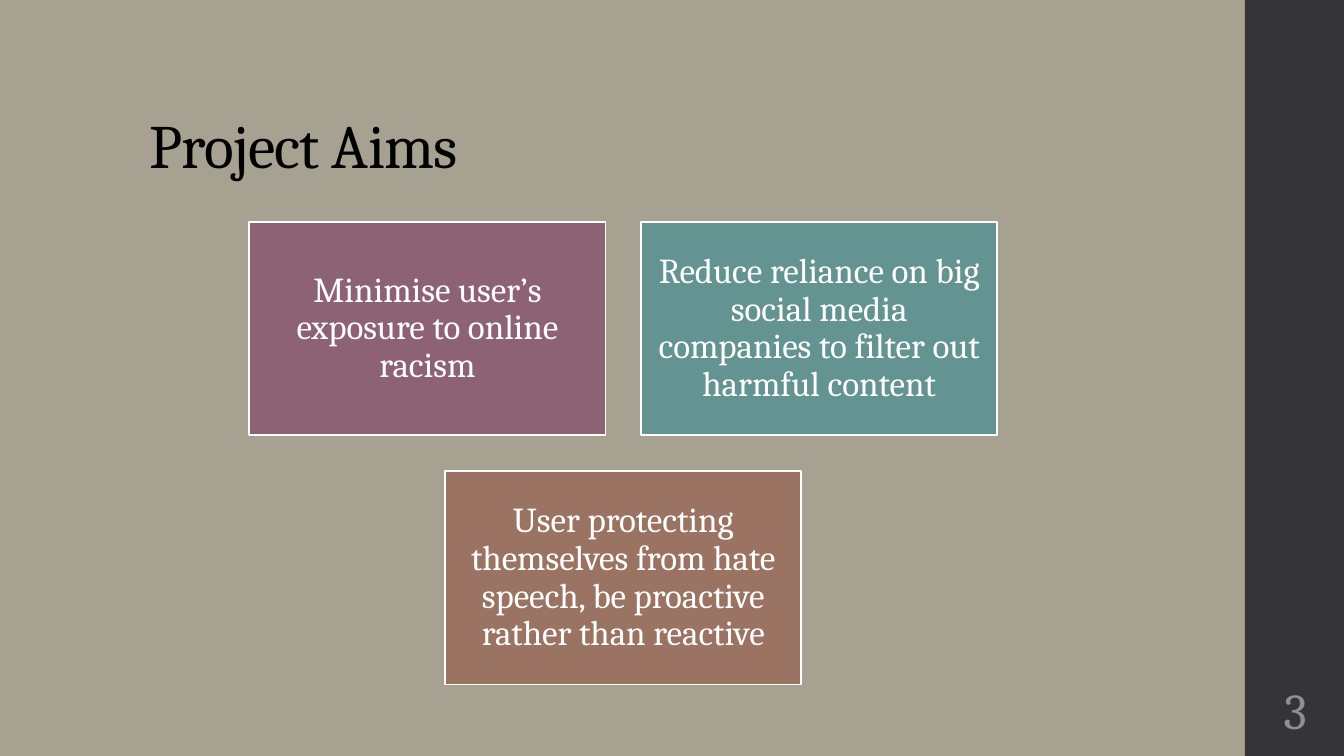
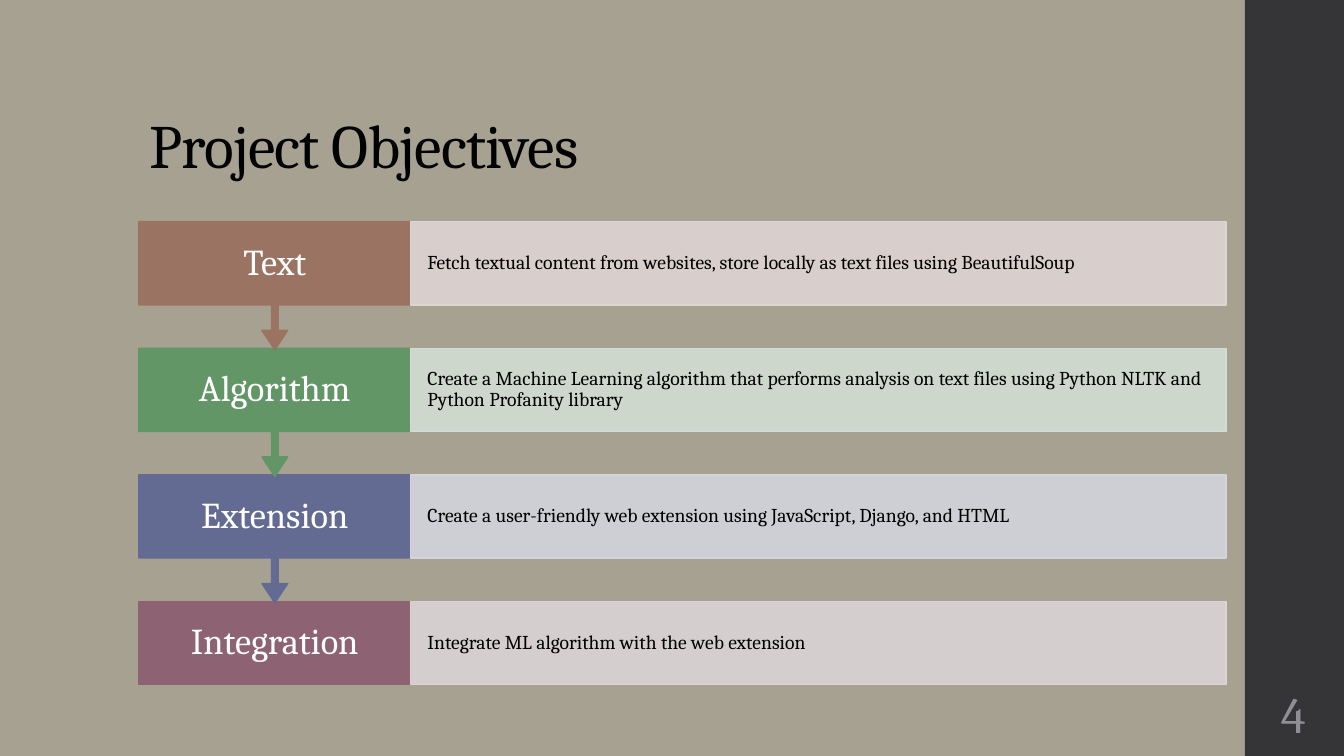
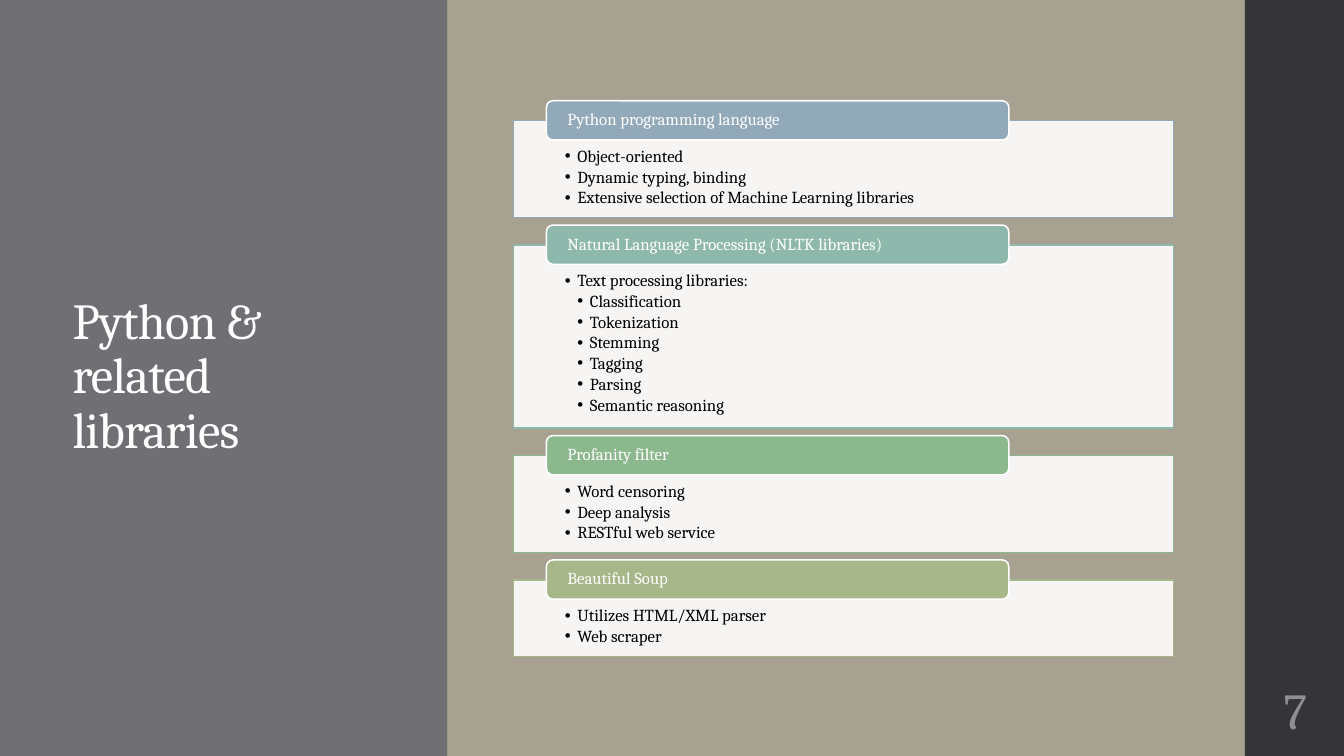
from dataclasses import dataclass

from lxml.etree import SubElement
from pptx import Presentation
from pptx.dml.color import RGBColor
from pptx.enum.shapes import MSO_SHAPE as Preset
from pptx.enum.text import MSO_ANCHOR as Anchor, MSO_AUTO_SIZE as AutoSize, PP_ALIGN as Align
from pptx.oxml.ns import qn
from pptx.util import Pt

FONT = "Cambria"
COLOURS = {
    "background": "A7A192", "band": "353537", "panel": "6F6F74", "number": "8E8E94",
    "black": "000000", "white": "FFFFFF",
    "plum": "8D6374", "teal": "639491", "brown": "9B7362", "green": "629666", "indigo": "636B92",
    "pale plum": "DBD3D6", "pale brown": "DED5D3", "pale green": "D3DDD3", "pale indigo": "D3D4DC",
    "steel": "92A9B9", "aqua": "8FB8AD", "mint": "8CB88E", "olive": "A7B789",
}
TITLE_ONLY, FOUR_BODIES = 5, 4
SLIDE_WIDTH, SLIDE_HEIGHT = 960, 540
BAND_LEFT, BAND_WIDTH = 889.2, 72
CONTENT_TOP = 158.4


@dataclass(frozen=True)
class Box:
    left: float
    top: float
    width: float
    height: float


@dataclass(frozen=True)
class Style:
    size: float
    colour: str = "white"
    align: Align = Align.LEFT
    anchor: Anchor = Anchor.MIDDLE
    insets: tuple[float, float] = (7.2, 3.6)


@dataclass(frozen=True)
class Aim:
    text: str
    colour: str


@dataclass(frozen=True)
class Objective:
    label: str
    detail: str
    colour: str


@dataclass(frozen=True)
class Topic:
    heading: str
    colour: str
    height: float
    points: tuple[tuple[str, int], ...]


AIM_ROWS = (
    (Aim("Minimise user’s exposure to online racism", "plum"),
     Aim("Reduce reliance on big social media companies to filter out harmful content", "teal")),
    (Aim("User protecting themselves from hate speech, be proactive rather than reactive", "brown"),),
)
OBJECTIVES = (
    Objective("Text", "Fetch textual content from websites, store locally as text files using BeautifulSoup", "brown"),
    Objective("Algorithm", "Create a Machine Learning algorithm that performs analysis on text files using "
              "Python NLTK and Python Profanity library", "green"),
    Objective("Extension", "Create a user-friendly web extension using JavaScript, Django, and HTML", "indigo"),
    Objective("Integration", "Integrate ML algorithm with the web extension", "plum"),
)
TOPICS = (
    Topic("Python programming language", "steel", 69.3, (
        ("Object-oriented", 1), ("Dynamic typing, binding", 1),
        ("Extensive selection of Machine Learning libraries", 1))),
    Topic("Natural Language Processing (NLTK libraries)", "aqua", 130.9, (
        ("Text processing libraries:", 1), ("Classification", 2), ("Tokenization", 2), ("Stemming", 2),
        ("Tagging", 2), ("Parsing", 2), ("Semantic reasoning", 2))),
    Topic("Profanity filter", "mint", 69.3, (
        ("Word censoring", 1), ("Deep analysis", 1), ("RESTful web service", 1))),
    Topic("Beautiful Soup", "olive", 54.8, (("Utilizes HTML/XML parser", 1), ("Web scraper", 1))),
)


def colour(name: str) -> RGBColor:
    return RGBColor.from_string(COLOURS[name])


def place(shape, box: Box) -> None:
    shape.left, shape.top = Pt(box.left), Pt(box.top)
    shape.width, shape.height = Pt(box.width), Pt(box.height)


def paint(shape, fill: str, line: str | None = None, weight: float = 1.1, opacity: int = 100) -> None:
    shape.fill.solid()
    shape.fill.fore_color.rgb = colour(fill)
    if opacity < 100:
        for node in shape.element.spPr.iter(qn("a:srgbClr")):
            SubElement(node, qn("a:alpha"), val=str(opacity * 1000))
    if line:
        shape.line.color.rgb = colour(line)
        shape.line.width = Pt(weight)
    else:
        shape.line.fill.background()


def set_frame(shape, style: Style) -> None:
    frame = shape.text_frame
    frame.word_wrap = True
    frame.auto_size = AutoSize.NONE
    frame.vertical_anchor = style.anchor
    frame.margin_left = frame.margin_right = Pt(style.insets[0])
    frame.margin_top = frame.margin_bottom = Pt(style.insets[1])


def format_paragraph(paragraph, style: Style) -> None:
    paragraph.alignment = style.align
    paragraph.line_spacing = 0.9
    paragraph.space_before = Pt(0)
    paragraph.font.name = FONT
    paragraph.font.size = Pt(style.size)
    paragraph.font.bold = False
    paragraph.font.color.rgb = colour(style.colour)


def write(shape, text: str, style: Style) -> None:
    set_frame(shape, style)
    shape.text_frame.text = text
    format_paragraph(shape.text_frame.paragraphs[0], style)


def write_bullets(shape, points: tuple[tuple[str, int], ...], style: Style) -> None:
    set_frame(shape, style)
    frame = shape.text_frame
    for index, (text, level) in enumerate(points):
        paragraph = frame.add_paragraph() if index else frame.paragraphs[0]
        paragraph.text = text
        paragraph.level = level
        properties = paragraph._p.get_or_add_pPr()
        properties.set("marL", str(Pt(9 * level)))
        properties.set("indent", str(-Pt(9)))
        SubElement(properties, qn("a:buFont"), typeface="Arial")
        SubElement(properties, qn("a:buChar"), char="•")
        paragraph.space_after = Pt(1.8)
        format_paragraph(paragraph, style)


def add_block(slide, box: Box, fill: str, line: str | None = None, weight: float = 1.1,
              opacity: int = 100, preset: Preset = Preset.RECTANGLE):
    shape = slide.shapes.add_shape(preset, Pt(box.left), Pt(box.top), Pt(box.width), Pt(box.height))
    shape.shadow.inherit = False
    paint(shape, fill, line, weight, opacity)
    return shape


def add_slide(presentation, layout: int, title: str, box: Box, style: Style, number: str, number_box: Box):
    slide = presentation.slides.add_slide(presentation.slide_layouts[layout])
    place(slide.shapes.title, box)
    write(slide.shapes.title, title, style)
    for properties in slide.shapes.title.element.iter(qn("a:defRPr")):
        properties.set("spc", "-50")
    label = slide.shapes.add_textbox(0, 0, 0, 0)
    place(label, number_box)
    write(label, number, Style(36, "number", Align.CENTER, insets=(3.6, 3.6)))
    return slide


def add_master_band(presentation, slide) -> None:
    master = presentation.slide_master
    master.background.fill.solid()
    master.background.fill.fore_color.rgb = colour("background")
    band = add_block(slide, Box(BAND_LEFT, 0, BAND_WIDTH, SLIDE_HEIGHT), "band")
    master.shapes.element.append(band.element)


def draw_aims(slide) -> None:
    width, height, gap, centre = 254.4, 152.6, 25.4, 445.2
    style = Style(25, align=Align.CENTER, insets=(7.2, 7.2))
    for row, aims in enumerate(AIM_ROWS):
        left = centre - (len(aims) * (width + gap) - gap) / 2
        top = CONTENT_TOP + row * (height + gap)
        for column, aim in enumerate(aims):
            box = Box(left + column * (width + gap), top, width, height)
            write(add_block(slide, box, aim.colour, "white", 1.35), aim.text, style)


def draw_objectives(slide) -> None:
    left, label_width, detail_width, height, pitch = 99.2, 194.2, 582.4, 59.4, 90.4
    callout_height = 91.4
    label_style = Style(26, align=Align.CENTER, insets=(13.7, 0))
    detail_style = Style(14, "black", insets=(11.9, 0))
    last = len(OBJECTIVES) - 1
    for index in range(last, -1, -1):
        objective = OBJECTIVES[index]
        top = CONTENT_TOP + index * pitch
        is_last = index == last
        label = add_block(
            slide, Box(left, top, label_width, height if is_last else callout_height),
            objective.colour, objective.colour,
            preset=Preset.RECTANGLE if is_last else Preset.DOWN_ARROW_CALLOUT)
        if not is_last:
            for position, value in enumerate((0.05, 0.1, 0.15, 0.65)):
                label.adjustments[position] = value
        write(label, objective.label, label_style)
        pale = f"pale {objective.colour}"
        detail = add_block(slide, Box(left + label_width, top, detail_width, height), pale, pale, opacity=90)
        write(detail, objective.detail, detail_style)


def draw_topics(slide) -> None:
    panel = add_block(slide, Box(0, 0, 319.4, SLIDE_HEIGHT), "panel")
    slide.shapes.element.insert(2, panel.element)
    list_style = Style(12, "black", anchor=Anchor.TOP, insets=(36.7, 19.6))
    heading_style = Style(12, insets=(13.7, 0))
    bodies = [shape for shape in slide.placeholders if shape.placeholder_format.idx]
    top, gap = 86.2, 19.5
    for body, topic in zip(bodies, TOPICS):
        place(body, Box(366.7, top, 471.6, topic.height))
        paint(body, "white", topic.colour, opacity=90)
        write_bullets(body, topic.points, list_style)
        heading = add_block(slide, Box(390.3, top - 14.2, 330.3, 28), topic.colour, "white",
                            preset=Preset.ROUNDED_RECTANGLE)
        write(heading, topic.heading, heading_style)
        top += topic.height + gap


def main() -> None:
    presentation = Presentation()
    presentation.slide_width, presentation.slide_height = Pt(SLIDE_WIDTH), Pt(SLIDE_HEIGHT)
    title_style = Style(44, "black", anchor=Anchor.BOTTOM)
    number_box = Box(BAND_LEFT, 486, BAND_WIDTH, 46.8)

    aims = add_slide(presentation, TITLE_ONLY, "Project Aims", Box(99.4, 28.8, 763.2, 104.4),
                     title_style, "3", number_box)
    add_master_band(presentation, aims)
    draw_aims(aims)

    objectives = add_slide(presentation, TITLE_ONLY, "Project Objectives", Box(99.4, 28.8, 776.2, 104.4),
                           title_style, "4", Box(887.8, 488.9, BAND_WIDTH, 46.8))
    draw_objectives(objectives)

    libraries = add_slide(presentation, FOUR_BODIES, "Python & related libraries",
                          Box(44.6, 65.5, 213.8, 408.2), Style(36), "7", number_box)
    draw_topics(libraries)
    presentation.save("out.pptx")


if __name__ == "__main__":
    main()
